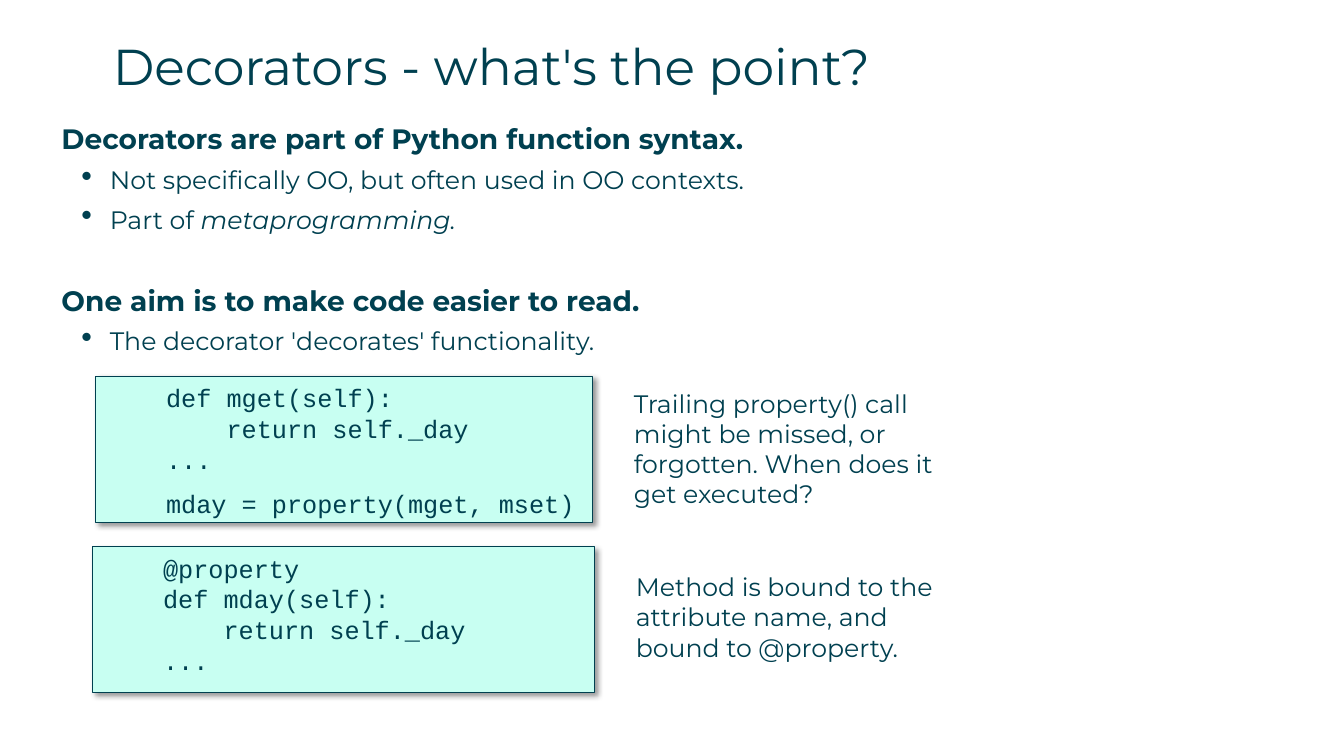
from lxml import etree
from pptx import Presentation
from pptx.dml.color import RGBColor
from pptx.enum.shapes import MSO_SHAPE
from pptx.enum.text import MSO_ANCHOR, PP_ALIGN
from pptx.oxml.ns import qn
from pptx.util import Pt

RECT = MSO_SHAPE.RECTANGLE
TOP = MSO_ANCHOR.TOP
LEFT = PP_ALIGN.LEFT
COLORS = {"ink": "004050", "code": "C8FFF2", "shade": "000000"}
SANS, MONO = "Montserrat", "Courier New"
TAB = 43.2  # four characters of 18 pt code
LINE = 21.9

# (bullet, space before, [(text, italic), ...])
POINTS = [
    (False, 0, [("Decorators are part of Python function syntax.", False)]),
    (True, 0, [("Not specifically OO, but often used in OO contexts.", False)]),
    (True, 0, [("Part of ", False), ("metaprogramming.", True)]),
    (False, 28.4, [("One aim is to make code easier to read.", False)]),
    (True, 0, [("The decorator 'decorates' functionality.", False)]),
]

# (box, [(depth, space before, text), ...])
CODES = [
    ((68.4, 268.6, 355, 104.4), [
        (1, 0, "def mget(self):"),
        (2, 0, "return self._day"),
        (1, 0, "..."),
        (1, 9.75, "mday = property(mget, mset)"),
    ]),
    ((66.2, 390.2, 358.6, 104.4), [
        (1, 0, "@property"),
        (1, 0, "def mday(self):"),
        (2, 0, "return self._day"),
        (1, 0, "..."),
    ]),
]

NOTES = [
    ((445.7, 273.6, 231.8, 94.3),
     "Trailing property() call might be missed, or forgotten. "
     "When does it get executed?"),
    ((447.1, 404.6, 232.6, 72.7),
     "Method is bound to the attribute name, and bound to @property."),
]


def rgb(name):
    return RGBColor.from_string(COLORS[name])


def style(run, size, face=SANS, bold=False, slant=False):
    font = run.font
    font.name, font.size = face, Pt(size)
    font.bold, font.italic = bold, slant
    font.color.rgb = rgb("ink")


def set_frame(frame, side=0, top=0):
    frame.word_wrap = True
    frame.vertical_anchor = TOP
    frame.margin_left = frame.margin_right = Pt(side)
    frame.margin_top = frame.margin_bottom = Pt(top)


def next_para(frame, index):
    para = frame.add_paragraph() if index else frame.paragraphs[0]
    para.alignment = LEFT
    return para


def indent(para, left, first=0):
    props = para._p.get_or_add_pPr()
    props.set("marL", str(Pt(left)))
    props.set("indent", str(Pt(first)))
    return props


def add_bullet(para):
    props = indent(para, 34.5, -20.2)
    etree.SubElement(props, qn("a:buSzPct"), val="125000")
    etree.SubElement(props, qn("a:buChar"), char="•")


def add_shadow(shape):
    shape.shadow.inherit = False
    effects = shape._element.spPr.find(qn("a:effectLst"))
    outer = etree.SubElement(
        effects, qn("a:outerShdw"), blurRad=str(Pt(4)), dist=str(Pt(3)),
        dir="2700000", algn="tl", rotWithShape="0")
    color = etree.SubElement(outer, qn("a:srgbClr"), val=COLORS["shade"])
    etree.SubElement(color, qn("a:alpha"), val="40000")


def set_title(slide, text):
    title = slide.shapes.title
    title.left, title.top = Pt(80.6), Pt(25.2)
    title.width, title.height = Pt(907), Pt(63.4)
    frame = title.text_frame
    set_frame(frame)
    frame.text = text
    para = next_para(frame, 0)
    style(para.runs[0], 36)


def add_points(slide):
    box = slide.shapes.add_textbox(Pt(43.9), Pt(87.1), Pt(906.5), Pt(390.2))
    frame = box.text_frame
    set_frame(frame)
    for index, (bullet, gap, parts) in enumerate(POINTS):
        para = next_para(frame, index)
        para.space_before, para.space_after = Pt(gap), Pt(6.5)
        if bullet:
            add_bullet(para)
        for text, slant in parts:
            run = para.add_run()
            run.text = text
            style(run, 18 if bullet else 20, bold=not bullet, slant=slant)


def add_code(slide, box, lines):
    shape = slide.shapes.add_shape(RECT, *map(Pt, box))
    shape.fill.solid()
    shape.fill.fore_color.rgb = rgb("code")
    shape.line.color.rgb = rgb("ink")
    shape.line.width = Pt(0.75)
    add_shadow(shape)
    frame = shape.text_frame
    set_frame(frame, 7.2, 4.4)
    frame.word_wrap = False
    for index, (depth, gap, text) in enumerate(lines):
        para = next_para(frame, index)
        para.text = text
        para.line_spacing, para.space_before = Pt(LINE), Pt(gap)
        indent(para, depth * TAB)
        style(para.runs[0], 18, MONO)


def add_note(slide, box, text):
    frame = slide.shapes.add_textbox(*map(Pt, box)).text_frame
    set_frame(frame, 7.2, 3.6)
    frame.text = text
    style(frame.paragraphs[0].runs[0], 18)


def main():
    deck = Presentation()
    deck.slide_width, deck.slide_height = Pt(960), Pt(540)
    slide = deck.slides.add_slide(deck.slide_layouts[5])
    set_title(slide, "Decorators - what's the point?")
    add_points(slide)
    for box, lines in CODES:
        add_code(slide, box, lines)
    for box, text in NOTES:
        add_note(slide, box, text)
    deck.save("out.pptx")


if __name__ == "__main__":
    main()
